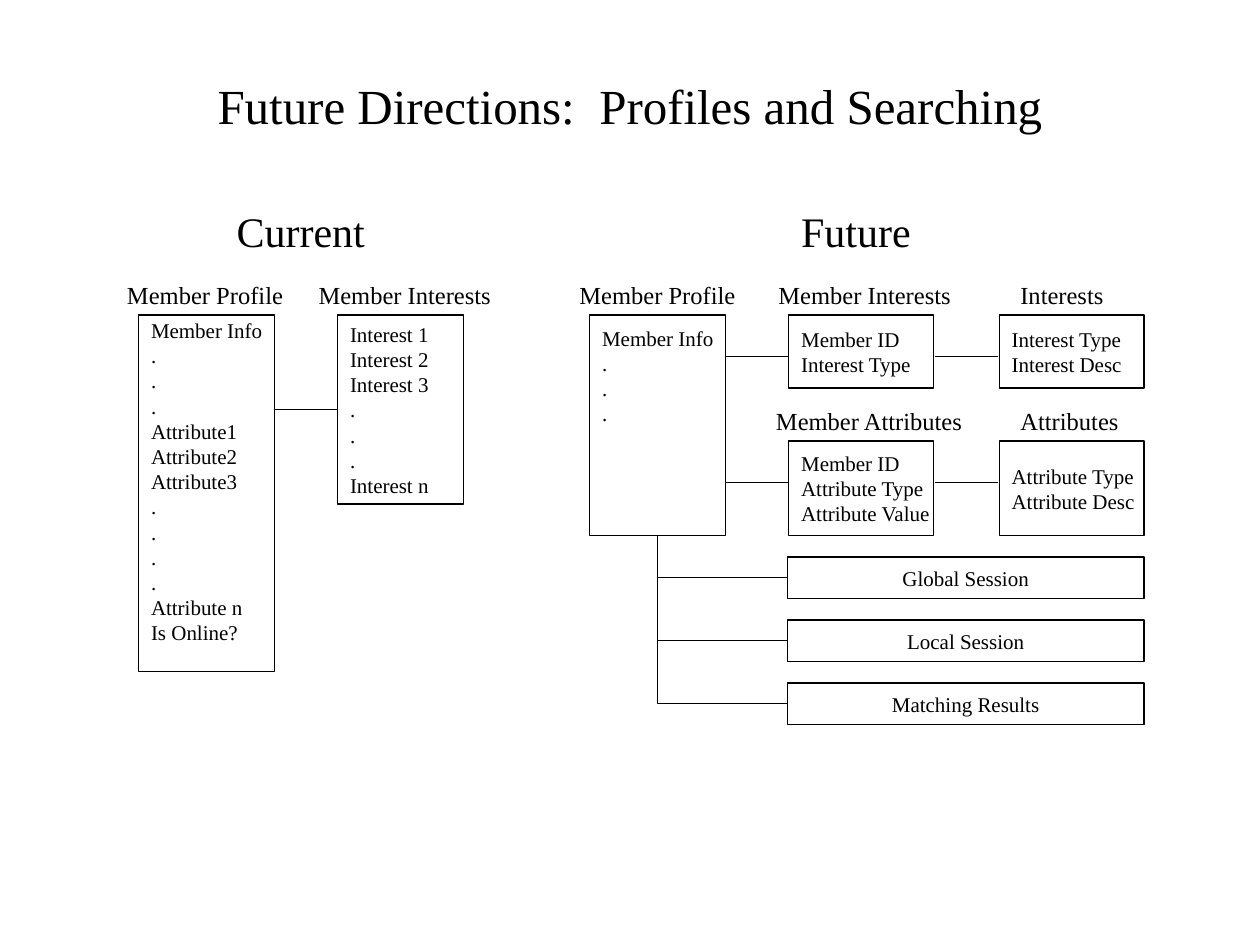
from dataclasses import dataclass

from lxml.etree import SubElement
from pptx import Presentation
from pptx.dml.color import RGBColor
from pptx.enum.shapes import MSO_CONNECTOR, MSO_SHAPE
from pptx.enum.text import MSO_ANCHOR, PP_ALIGN
from pptx.oxml.ns import qn
from pptx.util import Inches, Pt


@dataclass(frozen=True)
class Theme:
    font: str = "Times New Roman"
    ink: RGBColor = RGBColor(0, 0, 0)
    paper: RGBColor = RGBColor(255, 255, 255)
    title: int = 28
    heading: int = 24
    label: int = 14
    body: int = 12
    line: float = 0.75


THEME = Theme()

# Shared lengths of the diagram, in inches
TOP_ROW, LOWER_ROW = 2.5, 3.5
LABEL_RISE = 0.33
PROFILE_WIDTH, TABLE_WIDTH = 1.08, 1.15
LINK_LENGTH = 0.5
SESSION_LEFT, SESSION_TOP, SESSION_STEP = 6.25, 4.42, 0.5
SESSION_WIDTH, SESSION_HEIGHT = 2.83, 0.33


def write(frame, text, size=THEME.body, align=PP_ALIGN.LEFT,
          anchor=MSO_ANCHOR.MIDDLE, wrap=False, inset_top=0.05):
    """Fill a text frame, one paragraph for each line of text."""
    frame.word_wrap = wrap
    frame.vertical_anchor = anchor
    frame.margin_left = frame.margin_right = Inches(0.1)
    frame.margin_top, frame.margin_bottom = Inches(inset_top), Inches(0.05)
    for index, line in enumerate(text.split("\n")):
        para = frame.add_paragraph() if index else frame.paragraphs[0]
        para.alignment = align
        span = para.add_run()
        span.text = line
        span.font.name = THEME.font
        span.font.size = Pt(size)
        span.font.color.rgb = THEME.ink


def add_text(page, left, top, width, height, text, **style):
    box = page.shapes.add_textbox(
        Inches(left), Inches(top), Inches(width), Inches(height))
    write(box.text_frame, text, **style)


def add_label(page, left, row, width, text):
    """Name a table just above its box."""
    add_text(page, left, row - LABEL_RISE, width, 0.34, text,
             size=THEME.label, anchor=MSO_ANCHOR.TOP)


def add_box(page, left, top, width, height, text, **style):
    box = page.shapes.add_shape(
        MSO_SHAPE.FLOWCHART_PROCESS,
        Inches(left), Inches(top), Inches(width), Inches(height))
    box.shadow.inherit = False
    box.fill.solid()
    box.fill.fore_color.rgb = THEME.paper
    box.line.color.rgb = THEME.ink
    box.line.width = Pt(THEME.line)
    write(box.text_frame, text, **style)


def add_link(page, start, end, kind=MSO_CONNECTOR.STRAIGHT):
    link = page.shapes.add_connector(
        kind, *(Inches(value) for value in (*start, *end)))
    link.line.color.rgb = THEME.ink
    link.line.width = Pt(THEME.line)
    properties = link._element.spPr
    SubElement(properties, qn("a:effectLst"))
    if kind == MSO_CONNECTOR.ELBOW:
        # One corner: first sideways, then up
        properties.find(qn("a:prstGeom")).set("prst", "bentConnector2")


def add_current(page):
    profile = "\n".join(["Member Info", *"...", "Attribute1", "Attribute2",
                         "Attribute3", *"....", "Attribute n", "Is Online?"])
    interests = "\n".join(["Interest 1", "Interest 2", "Interest 3",
                           *"...", "Interest n"])
    add_text(page, 1.78, 1.58, 1.22, 0.5, "Current",
             size=THEME.heading, anchor=MSO_ANCHOR.TOP)
    add_label(page, 0.91, TOP_ROW, 1.44, "Member Profile")
    add_box(page, 1.1, TOP_ROW, PROFILE_WIDTH, 2.83, profile,
            anchor=MSO_ANCHOR.TOP, inset_top=0.02)
    add_label(page, 2.43, TOP_ROW, 1.57, "Member Interests")
    add_box(page, 2.68, TOP_ROW, 1, 1.5, interests)
    add_link(page, (2.18, 3.25), (2.18 + LINK_LENGTH, 3.25))


def add_future(page):
    add_text(page, 6.26, 1.58, 1.07, 0.5, "Future",
             size=THEME.heading, anchor=MSO_ANCHOR.TOP)
    add_label(page, 4.5, TOP_ROW, 1.44, "Member Profile")
    add_box(page, 4.68, TOP_ROW, PROFILE_WIDTH, 1.75,
            "\n".join(["Member Info", *"..."]),
            anchor=MSO_ANCHOR.TOP, inset_top=0.08)

    # Tables: label left, label width, label, box left, row, height, fields
    tables = [
        (6.08, 1.57, "Member Interests", 6.26, TOP_ROW, 0.58,
         "Member ID\nInterest Type"),
        (8, 0.86, "Interests", 7.93, TOP_ROW, 0.58,
         "Interest Type\nInterest Desc"),
        (6.06, 1.69, "Member Attributes", 6.26, LOWER_ROW, 0.75,
         "Member ID\nAttribute Type\nAttribute Value"),
        (8, 0.98, "Attributes", 7.93, LOWER_ROW, 0.75,
         "Attribute Type\nAttribute Desc"),
    ]
    for label_left, label_width, label, left, row, height, fields in tables:
        add_label(page, label_left, row, label_width, label)
        add_box(page, left, row, TABLE_WIDTH, height, fields)

    # Links between the tables of each row
    for row in (TOP_ROW, LOWER_ROW):
        for left in (5.75, 7.42):
            add_link(page, (left, row + 0.33), (left + LINK_LENGTH, row + 0.33))

    # Sessions hanging from the foot of the profile
    sessions = ("Global Session", "Local Session", "Matching Results")
    for index, name in enumerate(sessions):
        top = SESSION_TOP + index * SESSION_STEP
        add_box(page, SESSION_LEFT, top, SESSION_WIDTH, SESSION_HEIGHT, name,
                align=PP_ALIGN.CENTER)
        add_link(page, (SESSION_LEFT, top + SESSION_HEIGHT / 2), (5.22, 4.25),
                 kind=MSO_CONNECTOR.ELBOW)


def main():
    deck = Presentation()
    deck.slide_width, deck.slide_height = Inches(10), Inches(7.5)
    page = deck.slides.add_slide(deck.slide_layouts[6])
    add_text(page, 0.75, 0.5, 8.5, 0.67,
             "Future Directions:  Profiles and Searching",
             size=THEME.title, align=PP_ALIGN.CENTER, wrap=True)
    add_current(page)
    add_future(page)
    deck.save("out.pptx")


if __name__ == "__main__":
    main()
